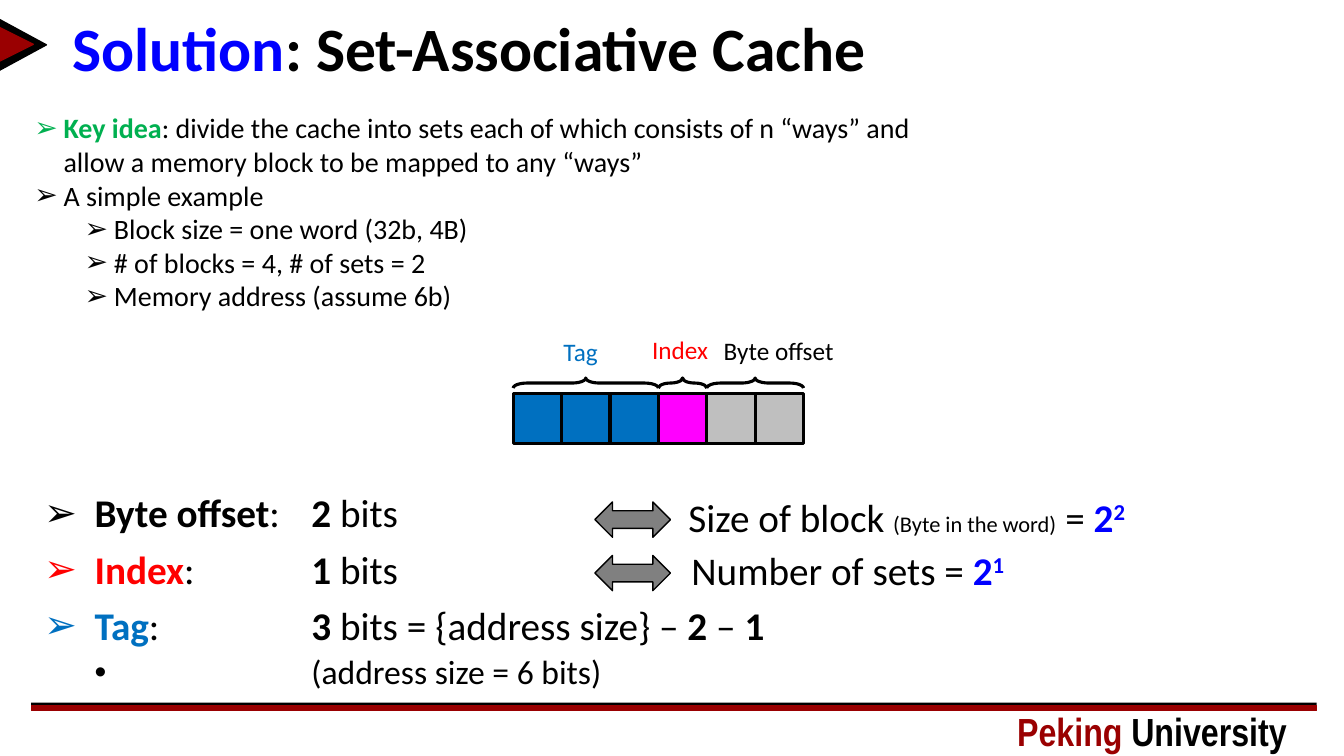
from lxml.etree import SubElement
from pptx import Presentation
from pptx.dml.color import RGBColor
from pptx.enum.shapes import MSO_SHAPE as Shape
from pptx.enum.text import MSO_ANCHOR as Anchor, MSO_AUTO_SIZE as Fit
from pptx.oxml.ns import qn
from pptx.util import Pt

PX = 9144  # 100 px to the inch
HUES = {"black": "000000", "maroon": "9A0001", "blue": "0000FF", "green": "00B050",
        "red": "FF0000", "sky": "0070C0", "pink": "FF00FF", "silver": "BFBFBF",
        "gray": "808080"}

# A run is (text, colour, style); style holds b for bold, s for small, ^ for superscript.
TITLE = [("Solution", "blue", "b"), (": Set-Associative Cache", "black", "b")]
BRAND = [("Peking ", "maroon", "b"), ("University", "black", "b")]
IDEAS = [
    (0, [("Key idea", "green", "b"),
         (": divide the cache into sets each of which consists of n “ways” and "
          "allow a memory block to be mapped to any “ways”", "black", "")]),
    (0, [("A simple example", "black", "")]),
    (1, [("Block size = one word (32b, 4B)", "black", "")]),
    (1, [("# of blocks = 4, # of sets = 2", "black", "")]),
    (1, [("Memory address (assume 6b)", "black", "")]),
]
BITS = [
    [("Byte offset", "black", "b"), (":\t", "black", ""), ("2", "black", "b"),
     (" bits", "black", "")],
    [("Index", "red", "b"), (":\t", "black", ""), ("1", "black", "b"),
     (" bits", "black", "")],
    [("Tag", "sky", "b"), (":\t", "black", ""), ("3", "black", "b"),
     (" bits = {address size} – ", "black", ""), ("2", "black", "b"),
     (" – ", "black", ""), ("1", "black", "b")],
]
NOTE = [("(address size = 6 bits)", "black", "")]
# name, cells, cell fill, label colour, label box
FIELDS = [("Tag", 3, "sky", "sky", (549, 329, 55, 40)),
          ("Index", 1, "pink", "red", (637, 327, 79, 40)),
          ("Byte offset", 2, "silver", "black", (708, 328, 134, 40))]
# arrow top, text box, runs
SIZES = [
    (498, (673, 484, 461, 57),
     [("Size of block ", "black", ""), ("(Byte in the word)", "black", "s"),
      (" = ", "black", ""), ("2", "blue", "b"), ("2", "blue", "b^")]),
    (551, (676, 537, 336, 57),
     [("Number of sets = ", "black", ""), ("2", "blue", "b"), ("1", "blue", "b^")]),
]
# preset, box, fill, line width, turn
DECOR = [(Shape.RECTANGLE, (31, 697, 1275, 3), "black", 0, 0),
         (Shape.RECTANGLE, (31, 700, 1275, 5), "maroon", 1, 0),
         (Shape.ISOSCELES_TRIANGLE, (-3, 21, 51, 47), "black", 1, 90),
         (Shape.ISOSCELES_TRIANGLE, (-1, 27, 34, 34), "maroon", 1, 90)]
CELL_X, CELL_Y, CELL_W, CELL_H = 509, 390, 48, 50
BRACE_Y, BRACE_H = 380, 10
TAB = 265

deck = Presentation()
deck.slide_width, deck.slide_height = 1333 * PX, 750 * PX
slide = deck.slides.add_slide(deck.slide_layouts[6])


def hue(name):
    return RGBColor.from_string(HUES[name])


def draw(kind, box, fill, width, turn=0, line="black"):
    shape = slide.shapes.add_shape(kind, *(round(n * PX) for n in box))
    shape.shadow.inherit = False
    shape.rotation = turn
    if fill:
        shape.fill.solid()
        shape.fill.fore_color.rgb = hue(fill)
    else:
        shape.fill.background()
    if width:
        shape.line.color.rgb = hue(line)
        shape.line.width = Pt(width)
    else:
        shape.line.fill.background()
    return shape


def frame(box, wrap=True, pad=True):
    text = slide.shapes.add_textbox(*(n * PX for n in box)).text_frame
    text.word_wrap = wrap
    if not wrap:
        text.auto_size = Fit.SHAPE_TO_FIT_TEXT
    if not pad:
        text.margin_left = text.margin_right = text.margin_top = text.margin_bottom = 0
    return text


def write(para, runs, size, font="Calibri"):
    for words, color, style in runs:
        run = para.add_run()
        run.text = words
        run.font.name = font
        run.font.size = Pt(16 if "s" in style else size)
        run.font.bold = "b" in style
        run.font.color.rgb = hue(color)
        if "^" in style:
            run._r.get_or_add_rPr().set("baseline", "30000")


def bullet(para, left, hang, sign="➢", tab=0):
    props = para._p.get_or_add_pPr()
    props.set("marL", str(left * PX))
    props.set("indent", str(-hang * PX))
    SubElement(props, qn("a:buFont"), typeface="Arial")
    SubElement(props, qn("a:buChar"), char=sign)
    if tab:
        stops = SubElement(props, qn("a:tabLst"))
        SubElement(stops, qn("a:tab"), pos=str(tab * PX), algn="l")


def lines(text, count):
    """Return the first paragraph and as many new ones as make up count."""
    return [text.paragraphs[0]] + [text.add_paragraph() for _ in range(count - 1)]


for kind, box, fill, width, turn in DECOR:
    draw(kind, box, fill, width, turn, fill)
write(frame((999, 697, 316, 57)).paragraphs[0], BRAND, 28, "Arial Narrow")

head = frame((62, 15, 1241, 73))
head.vertical_anchor = Anchor.MIDDLE
head.paragraphs[0].line_spacing = 0.9
write(head.paragraphs[0], TITLE, 44)

for para, (level, runs) in zip(lines(frame((34, 110, 922, 202), pad=False), len(IDEAS)), IDEAS):
    para.level = level
    bullet(para, 29 + 50 * level, 29)
    write(para, runs, 20)

*rows, last = lines(frame((34, 485, 1269, 194)), len(BITS) + 1)
for i, (para, runs) in enumerate(zip(rows, BITS)):
    bullet(para, 50, 50, tab=TAB)
    para.line_spacing = 0.9
    para.space_before = Pt(10 if i else 0)
    write(para, runs, 28)
last.level = 1
bullet(last, TAB, TAB - 50, "•")
last.line_spacing = 0.9
last.space_before = Pt(5)
write(last, NOTE, 24)

x = CELL_X
for name, count, fill, color, box in FIELDS:
    span = count * CELL_W
    for i in range(count):
        draw(Shape.RECTANGLE, (x + i * CELL_W, CELL_Y, CELL_W, CELL_H), fill, 2.25)
    mid = x + span / 2
    # The brace stands upright before its quarter turn
    brace = draw(Shape.RIGHT_BRACE, (mid - BRACE_H / 2, BRACE_Y - span / 2, BRACE_H, span),
                 None, 2.25, 270)
    brace.adjustments[0], brace.adjustments[1] = 1.37, 0.5
    write(frame(box, wrap=False).paragraphs[0], [(name, color, "")], 18)
    x += span

for top, box, runs in SIZES:
    draw(Shape.LEFT_RIGHT_ARROW, (590, top, 75, 35), "gray", 1)
    write(frame(box, wrap=False).paragraphs[0], runs, 28)

deck.save("out.pptx")
